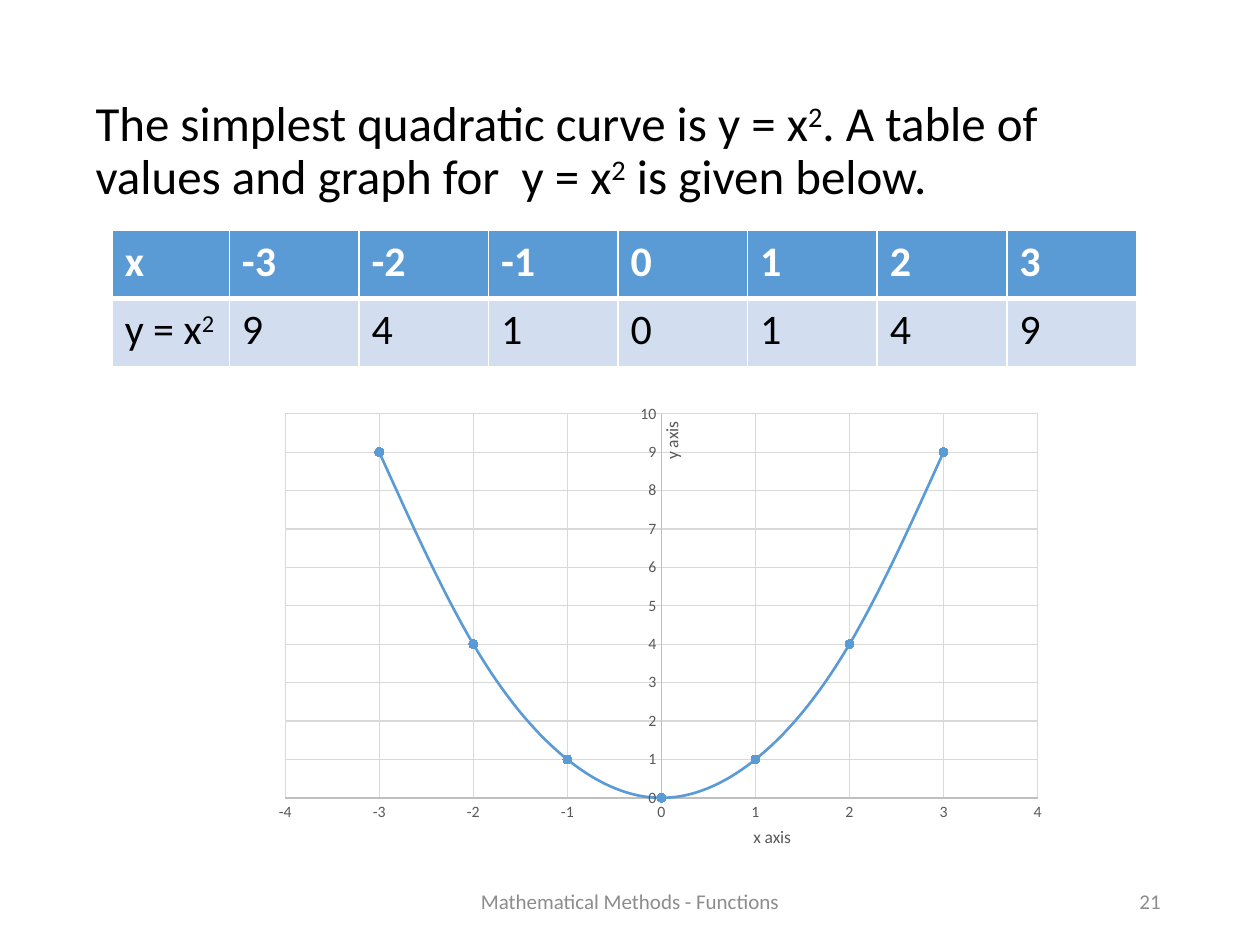
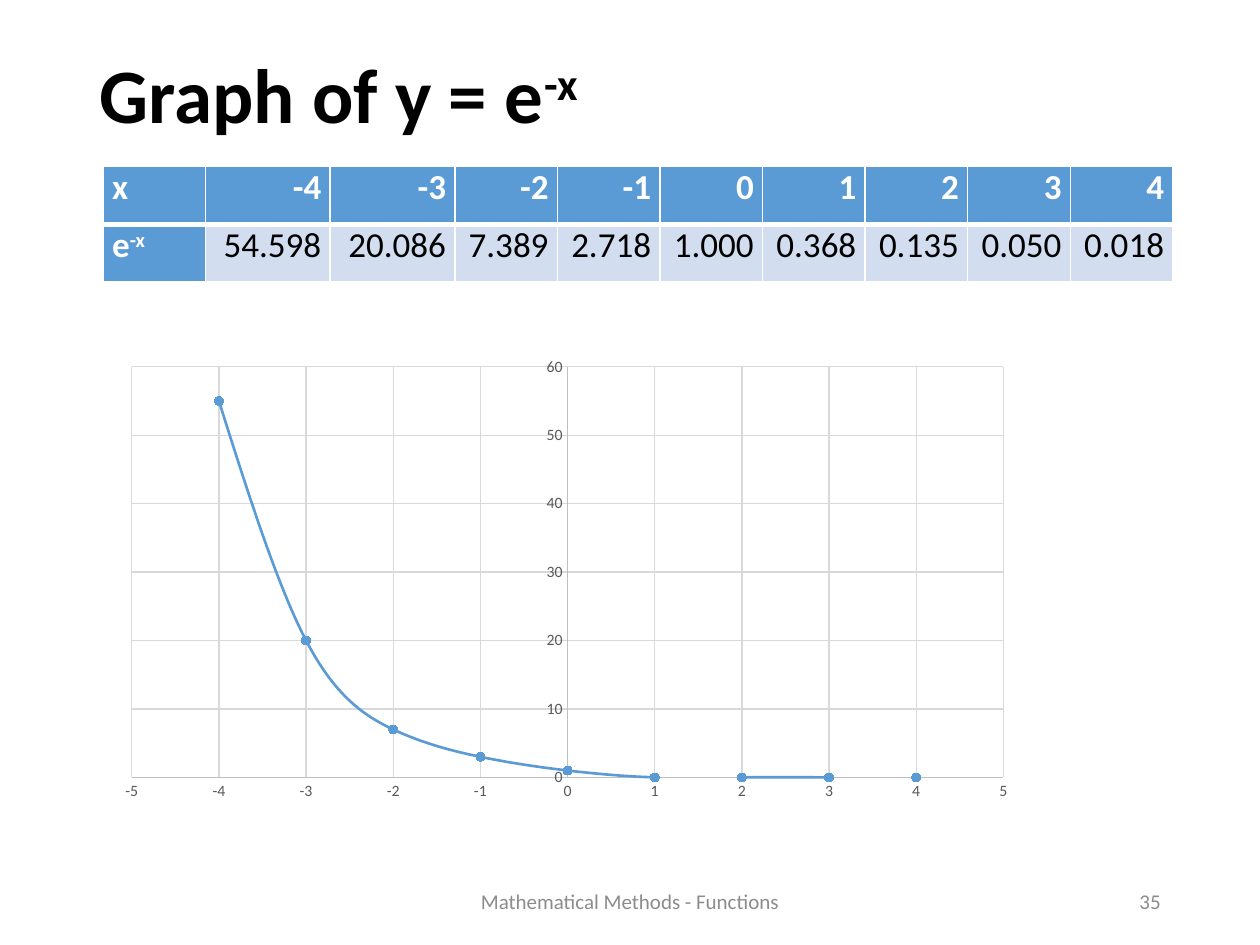
from pptx import Presentation
from pptx import util as u
from pptx.chart import data as chart_data
from pptx.dml import color
from pptx.enum import chart as ch, text
from pptx.oxml import parse_xml
from pptx.oxml import ns
from pptx.oxml import xmlchemy

FONT = "Calibri"
BLACK, WHITE, MUTED = "000000", "FFFFFF", "8C8C8C"
BLUE, PALE = "5B9BD5", "D2DEEF"
AXIS_TEXT, AXIS_LINE, GRID = "595959", "BFBFBF", "D9D9D9"
LEFT, RIGHT = text.PP_ALIGN.LEFT, text.PP_ALIGN.RIGHT
CENTER, JUSTIFY = text.PP_ALIGN.CENTER, text.PP_ALIGN.JUSTIFY
TOP, MIDDLE = text.MSO_ANCHOR.TOP, text.MSO_ANCHOR.MIDDLE
rgb = color.RGBColor.from_string


def write(paragraph, content, size, ink, bold=False, align=LEFT):
    """Write content; parts between ^ marks are superscript."""
    paragraph.alignment = align
    for i, part in enumerate(content.split("^")):
        if not part:
            continue
        run = paragraph.add_run()
        run.text = part
        run.font.name, run.font.size, run.font.bold = FONT, u.Pt(size), bold
        run.font.color.rgb = rgb(ink)
        if i % 2:
            run.font._element.set("baseline", "30000")


def place(element, **fractions):
    """Give a chart part a manual layout in fractions of the chart."""
    layout = element.find(ns.qn("c:layout"))
    if layout is None:
        layout = xmlchemy.OxmlElement("c:layout")
        element.insert(len(element.findall(ns.qn("c:tx"))), layout)
    target = '<c:layoutTarget val="inner"/>' if "w" in fractions else ""
    modes = "".join(f'<c:{k}Mode val="edge"/>' for k in fractions if k in "xy")
    values = "".join(f'<c:{k} val="{v}"/>' for k, v in fractions.items())
    layout.append(parse_xml(
        f'<c:manualLayout {ns.nsdecls("c")}>{target}{modes}{values}</c:manualLayout>'))


pages = [
    dict(
        number="21",
        heading="The simplest quadratic curve is y = x^2^. A table of values "
                "and graph for  y = x^2^ is given below.",
        heading_box=(0.66, 0.74, 8.62, 6.13), heading_size=28, bold=False,
        anchor=TOP, space_before=10,
        table_box=(0.89, 1.83, 8.13, 1.08), first_columns=[0.93],
        cell_size=24, margins=(0.1, 0.05), aligns=(LEFT, LEFT), label_fill=PALE,
        label="y = x^2^", xs=range(-3, 4),
        ys=["9", "4", "1", "0", "1", "4", "9"],
        chart_box=(1.66, 3.13, 6.71, 3.86),
        plot=dict(x=0.09, y=0.04, w=0.89, h=0.79),
        x_scale=(-4, 4, 1), y_scale=(0, 10, 1),
        axis_titles=[("x axis", 0.64, 0.88), ("y axis", 0.53, 0.05)],
    ),
    dict(
        number="35",
        heading="Graph of y = e^-x^",
        heading_box=(0.69, 0.4, 8.62, 0.77), heading_size=44, bold=True,
        anchor=MIDDLE, space_before=0,
        table_box=(0.82, 1.32, 8.49, 0.92), first_columns=[0.81, 0.99, 0.99],
        cell_size=20, margins=(0.07, 0), aligns=(JUSTIFY, RIGHT), label_fill=BLUE,
        label="e^-x^", xs=range(-4, 5),
        ys=["54.598", "20.086", "7.389", "2.718", "1.000",
            "0.368", "0.135", "0.050", "0.018"],
        chart_box=(0.82, 2.64, 7.52, 3.88),
        plot=dict(x=0.03, y=0.07, w=0.92, h=0.84),
        x_scale=(-5, 5, 1), y_scale=(0, 60, 10),
        axis_titles=[],
    ),
]

deck = Presentation()
deck.slide_width, deck.slide_height = u.Inches(10), u.Inches(7.5)

for page in pages:
    slide = deck.slides.add_slide(deck.slide_layouts[6])

    # Heading, footer and page number
    captions = [
        (page["heading"], page["heading_box"], page["heading_size"], BLACK,
         page["bold"], LEFT, page["anchor"]),
        ("Mathematical Methods - Functions", (3.31, 6.95, 3.38, 0.4), 12, MUTED,
         False, CENTER, MIDDLE),
        (page["number"], (7.06, 6.95, 2.25, 0.4), 12, MUTED, False, RIGHT, MIDDLE),
    ]
    for content, box, size, ink, bold, align, anchor in captions:
        frame = slide.shapes.add_textbox(*map(u.Inches, box)).text_frame
        frame.word_wrap, frame.vertical_anchor = True, anchor
        write(frame.paragraphs[0], content, size, ink, bold, align)
        if content == page["heading"]:
            frame.paragraphs[0].line_spacing = 0.9
            frame.paragraphs[0].space_before = u.Pt(page["space_before"])

    # Table of values: the columns after the first ones share the rest equally
    rows = [["x", *map(str, page["xs"])], [page["label"], *page["ys"]]]
    values = slide.shapes.add_table(
        2, len(rows[0]), *map(u.Inches, page["table_box"])).table
    first = page["first_columns"]
    others = len(rows[0]) - len(first)
    rest = (page["table_box"][2] - sum(first)) / others
    for column, width in zip(values.columns, first + [rest] * others):
        column.width = u.Inches(width)
    side, edge = map(u.Inches, page["margins"])
    for r, row in enumerate(rows):
        for c, content in enumerate(row):
            cell = values.cell(r, c)
            fill = BLUE if r == 0 else page["label_fill"] if c == 0 else PALE
            strong = fill == BLUE
            cell.margin_left = cell.margin_right = side
            cell.margin_top = cell.margin_bottom = edge
            write(cell.text_frame.paragraphs[0], content, page["cell_size"],
                  WHITE if strong else BLACK, strong, page["aligns"][c > 0])
            cell.fill.solid()
            cell.fill.fore_color.rgb = rgb(fill)
            # White rules, thicker between header and values
            borders = {"L": 1, "R": 1, "T": 3 if r else 1, "B": 1 if r else 3}
            for i, (name, points) in enumerate(borders.items()):
                cell._tc.get_or_add_tcPr().insert(i, parse_xml(
                    f'<a:ln{name} {ns.nsdecls("a")} w="{u.Pt(points)}"><a:solidFill>'
                    f'<a:srgbClr val="{WHITE}"/></a:solidFill></a:ln{name}>'))

    # Curve through the values rounded to whole numbers
    points = chart_data.XyChartData()
    curve_data = points.add_series("Series 1")
    for x, y in zip(page["xs"], page["ys"]):
        curve_data.add_data_point(x, round(float(y)))
    graph = slide.shapes.add_chart(
        ch.XL_CHART_TYPE.XY_SCATTER_SMOOTH,
        *map(u.Inches, page["chart_box"]), points).chart
    graph.has_title = graph.has_legend = False
    graph.font.name, graph.font.size = FONT, u.Pt(10)
    graph.font.color.rgb = rgb(BLACK)
    graph.plots[0].vary_by_categories = False
    curve = graph.plots[0].series[0]
    curve._element.find(ns.qn("c:smooth")).set("val", "1")
    curve.format.line.color.rgb = rgb(BLUE)
    curve.format.line.width = u.Pt(1.5)
    curve.marker.style, curve.marker.size = ch.XL_MARKER_STYLE.CIRCLE, 5
    curve.marker.format.fill.solid()
    curve.marker.format.fill.fore_color.rgb = rgb(BLUE)
    curve.marker.format.line.color.rgb = rgb(BLUE)
    place(graph._chartSpace.find(".//" + ns.qn("c:plotArea")), **page["plot"])

    # Axes
    axes = [graph.category_axis, graph.value_axis]
    for axis, scale in zip(axes, [page["x_scale"], page["y_scale"]]):
        axis.minimum_scale, axis.maximum_scale, axis.major_unit = scale
        axis.major_tick_mark = axis.minor_tick_mark = ch.XL_TICK_MARK.NONE
        axis.has_major_gridlines = True
        axis.has_title = False
        for line, ink in [(axis.format.line, AXIS_LINE),
                          (axis.major_gridlines.format.line, GRID)]:
            line.color.rgb, line.width = rgb(ink), u.Pt(0.75)
        labels = axis.tick_labels
        labels.number_format, labels.number_format_is_linked = "General", False
        labels.font.name, labels.font.size = FONT, u.Pt(9)
        labels.font.color.rgb = rgb(AXIS_TEXT)
    for axis, (name, x, y) in zip(axes, page["axis_titles"]):
        axis.has_title = True
        title = axis.axis_title
        write(title.text_frame.paragraphs[0], name, 10, AXIS_TEXT, align=CENTER)
        place(title._element, x=x, y=y)
        if axis is axes[1]:
            body = title._element.find(".//" + ns.qn("a:bodyPr"))
            body.set("rot", "-5400000")
            body.set("vert", "horz")

deck.save("out.pptx")
